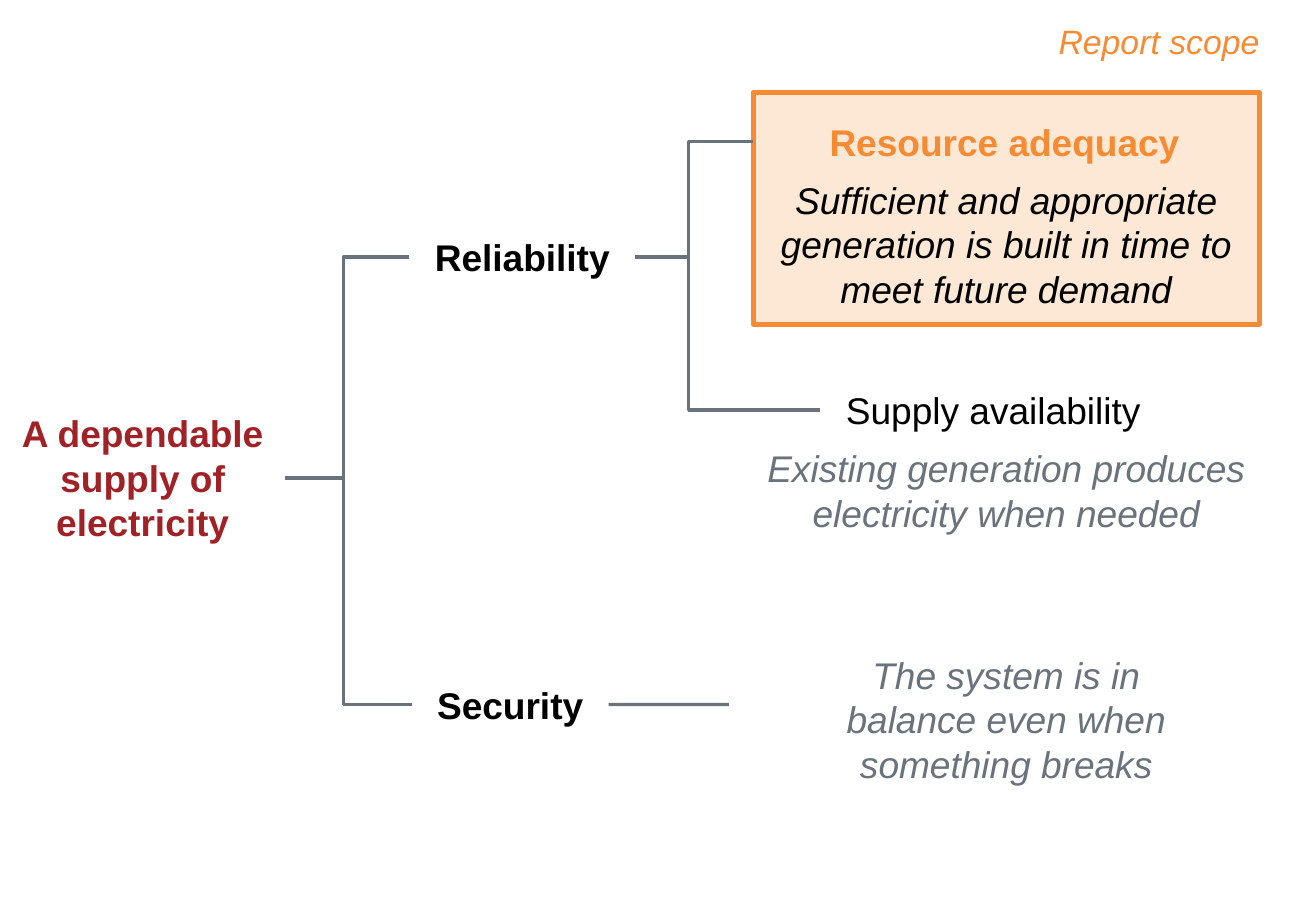
from dataclasses import dataclass

from lxml.etree import SubElement
from pptx import Presentation
from pptx.dml.color import RGBColor
from pptx.enum.shapes import MSO_CONNECTOR, MSO_SHAPE
from pptx.enum.text import MSO_AUTO_SIZE, PP_ALIGN
from pptx.oxml.ns import qn
from pptx.util import Pt


@dataclass(frozen=True)
class Theme:
    """Colours, font and type sizes of the slide."""
    font: str = "Arial"
    body: int = 22
    note: int = 20
    line: int = 2
    frame: int = 3
    black: RGBColor = RGBColor(0x00, 0x00, 0x00)
    grey: RGBColor = RGBColor(0x6A, 0x73, 0x7B)
    red: RGBColor = RGBColor(0xA0, 0x22, 0x26)
    orange: RGBColor = RGBColor(0xF6, 0x8B, 0x33)
    peach: RGBColor = RGBColor(0xFD, 0xE8, 0xD6)


THEME = Theme()


def add_text(s, box, text, color, bold=False, italic=False, size=THEME.body,
             align=PP_ALIGN.CENTER, wrap=True, left=7.2, right=7.2):
    """Add a text box whose paragraphs share one format."""
    sp = s.shapes.add_textbox(*map(Pt, box))
    tf = sp.text_frame
    tf.word_wrap = wrap
    tf.auto_size = MSO_AUTO_SIZE.SHAPE_TO_FIT_TEXT
    tf.margin_left, tf.margin_right = Pt(left), Pt(right)
    tf.text = text
    for p in tf.paragraphs:
        p.alignment = align
        for r in p.runs:
            r.font.name, r.font.size = THEME.font, Pt(size)
            r.font.bold, r.font.italic = bold, italic
            r.font.color.rgb = color
    return sp


def add_label(s, box, text, bold=True, right=14.4):
    """Add a one-line branch label with wide side margins."""
    return add_text(s, box, text, THEME.black, bold=bold, wrap=False,
                    left=14.4, right=right)


def add_frame(s, box):
    """Add the highlighted rectangle around the report scope."""
    sp = s.shapes.add_shape(MSO_SHAPE.RECTANGLE, *map(Pt, box))
    sp.shadow.inherit = False
    sp.fill.solid()
    sp.fill.fore_color.rgb = THEME.peach
    sp.line.color.rgb = THEME.orange
    sp.line.width = Pt(THEME.frame)


def add_line(s, kind, start, x, y):
    """Add a grey connector from the right side of a label to a point."""
    line = s.shapes.add_connector(kind, 0, 0, Pt(x), Pt(y))
    line.begin_connect(start, 3)
    line.line.color.rgb = THEME.grey
    line.line.width = Pt(THEME.line)
    SubElement(line._element.spPr, qn("a:effectLst"))
    return line


def add_branch(s, start, trunk, x, y, end=None):
    """Add an elbow connector that turns at the trunk position."""
    line = add_line(s, MSO_CONNECTOR.ELBOW, start, x, y)
    if end is not None:
        line.end_connect(end, 1)
    ratio = (Pt(trunk) - line.begin_x) / (line.end_x - line.begin_x)
    guides = line._element.spPr.find(qn("a:prstGeom")).get_or_add_avLst()
    SubElement(guides, qn("a:gd"), name="adj1", fmla=f"val {round(ratio * 100000)}")


def main():
    """Build the slide and save it."""
    prs = Presentation()
    prs.slide_width, prs.slide_height = Pt(780), Pt(540)
    s = prs.slides.add_slide(prs.slide_layouts[6])

    column, width = 446.4, 300
    add_frame(s, (column, 54.7, width, 137.5))
    supply = add_text(s, (0, 239.8, 169.2, 87.1), "A dependable supply of electricity",
                      THEME.red, bold=True)
    reliability = add_label(s, (242.6, 135.4, 134, 33.8), "Reliability")
    security = add_label(s, (244.1, 400.7, 116.6, 33.8), "Security")
    availability = add_label(s, (486, 226.1, 198, 33.8), "Supply availability",
                             bold=False, right=7.2)
    add_text(s, (483.1, 67, 224.6, 33.8), "Resource adequacy", THEME.orange,
             bold=True, wrap=False)

    for top, height, text, color in (
        (101.5, 87.1, "Sufficient and appropriate generation is built in time "
                      "to meet future demand", THEME.black),
        (260.6, 60.5, "Existing generation produces electricity when needed", THEME.grey),
        (383, 87.1, "The system is in\nbalance even when something breaks", THEME.grey),
    ):
        add_text(s, (column, top, width, height), text, color, italic=True)

    add_text(s, (577.4, 8.6, 169.2, 31.7), "Report scope", THEME.orange, italic=True,
             size=THEME.note, align=PP_ALIGN.RIGHT, right=0)

    add_branch(s, supply, 203.5, 242.6, 152.3, reliability)
    add_branch(s, supply, 203.5, 244.1, 417.6, security)
    add_branch(s, reliability, 408.2, column, 83.9)
    add_branch(s, reliability, 408.2, 486, 243, availability)
    add_line(s, MSO_CONNECTOR.STRAIGHT, security, 432, 417.6)
    prs.save("out.pptx")


if __name__ == "__main__":
    main()
